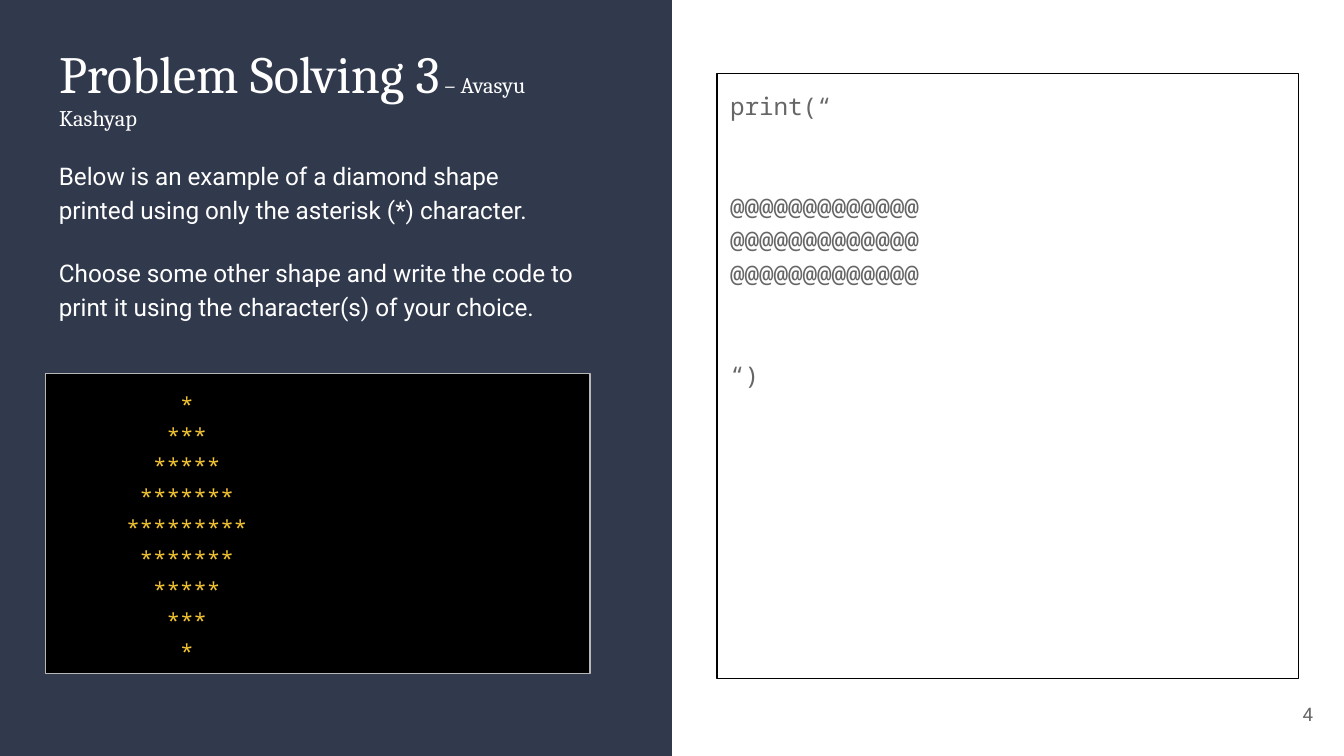
import pptx
import pptx.util
import pptx.dml.color
import pptx.enum.shapes
import pptx.enum.text

Pt = pptx.util.Pt
ALIGN = pptx.enum.text.PP_ALIGN
ANCHOR = pptx.enum.text.MSO_ANCHOR
COLORS = {
    "navy": "31394D",
    "white": "FFFFFF",
    "black": "000000",
    "silver": "B7B7B7",
    "gray": "666666",
    "gold": "F1C232",
}
INSET = 7.2
STAR_WIDTH = 7.2


def color(name):
    return pptx.dml.color.RGBColor.from_string(COLORS[name])


def set_values(target, values):
    for name, value in values.items():
        setattr(target, name, value)


def place(shape, box):
    set_values(shape, dict(zip(("left", "top", "width", "height"), map(Pt, box))))


def add_span(para, text, font, size, ink):
    span = para.add_run()
    span.text = text
    set_values(span.font, {"name": font, "size": Pt(size)})
    span.font.color.rgb = color(ink)


def prepare_frame(shape, anchor=ANCHOR.TOP, right_inset=INSET):
    frame = shape.text_frame
    set_values(frame, {
        "word_wrap": True,
        "auto_size": pptx.enum.text.MSO_AUTO_SIZE.NONE,
        "vertical_anchor": anchor,
        "margin_left": Pt(INSET),
        "margin_top": Pt(INSET),
        "margin_right": Pt(right_inset),
        "margin_bottom": Pt(INSET),
    })
    return frame


def write_lines(frame, lines, font, size, ink, align=ALIGN.LEFT, spacing=1.15, gaps={}):
    for index, text in enumerate(lines):
        para = frame.paragraphs[0] if index == 0 else frame.add_paragraph()
        set_values(para, {
            "alignment": align,
            "line_spacing": spacing,
            "space_before": Pt(gaps.get(index, 0)),
            "space_after": Pt(0),
        })
        add_span(para, text, font, size, ink)


def add_panel(page, box, fill=None, line=None):
    panel = page.shapes.add_shape(pptx.enum.shapes.MSO_SHAPE.RECTANGLE, *map(Pt, box))
    panel.shadow.inherit = False
    if fill:
        panel.fill.solid()
        panel.fill.fore_color.rgb = color(fill)
    else:
        panel.fill.background()
    if line:
        panel.line.color.rgb = color(line)
        panel.line.width = Pt(0.75)
    else:
        panel.line.fill.background()
    return panel


def add_text(page, box, lines, anchor=ANCHOR.TOP, **style):
    textbox = page.shapes.add_textbox(*map(Pt, box))
    write_lines(prepare_frame(textbox, anchor), lines, **style)


def add_heading(page, box):
    title = page.shapes.title
    title.element.getparent().append(title.element)
    place(title, box)
    para = prepare_frame(title).paragraphs[0]
    para.alignment = ALIGN.LEFT
    add_span(para, "Problem Solving 3", "Cambria", 28, "white")
    add_span(para, " – Avasyu Kashyap", "Cambria", 12, "white")


def add_diamond(page, box):
    panel = add_panel(page, box, "black", "silver")
    center = INSET + 9.5 * STAR_WIDTH
    frame = prepare_frame(panel, right_inset=box[2] - 2 * center + INSET)
    lines = ["*" * (9 - 2 * abs(row)) for row in range(-4, 5)]
    write_lines(frame, lines, "Noto Sans Mono", 12, "gold", ALIGN.CENTER)


def add_task(page, box):
    left, top, width, height = box
    add_panel(page, box, "navy")
    column, column_width = left + 24.5, 291.6
    add_heading(page, (column, top + 15, column_width, 161))
    add_text(page, (column, top + 77, column_width, 102), [
        "Below is an example of a diamond shape printed using only the asterisk (*) character.",
        "Choose some other shape and write the code to print it using the character(s) of your choice.",
    ], font="Roboto", size=13, ink="white", gaps={1: 16})
    add_diamond(page, (column, top + 200, column_width, 161))


def add_answer(page, box):
    frame = prepare_frame(add_panel(page, box, line="black"))
    lines = ["print(“"] + ["@" * 13] * 3 + ["“)"]
    write_lines(frame, lines, "Noto Sans Mono", 13, "gray", gaps={1: 36, 4: 36})


def build_page(deck):
    page = deck.slides.add_slide(deck.slide_layouts[5])
    add_task(page, (0, 0, 360, 405))
    add_answer(page, (384, 39.5, 311.5, 324))
    add_text(page, (667.5, 367, 43, 31), ["4"], ANCHOR.MIDDLE,
             font="Roboto", size=10, ink="gray", align=ALIGN.RIGHT, spacing=1.0)


deck = pptx.Presentation()
set_values(deck, {"slide_width": Pt(720), "slide_height": Pt(405)})
build_page(deck)
deck.save("out.pptx")
